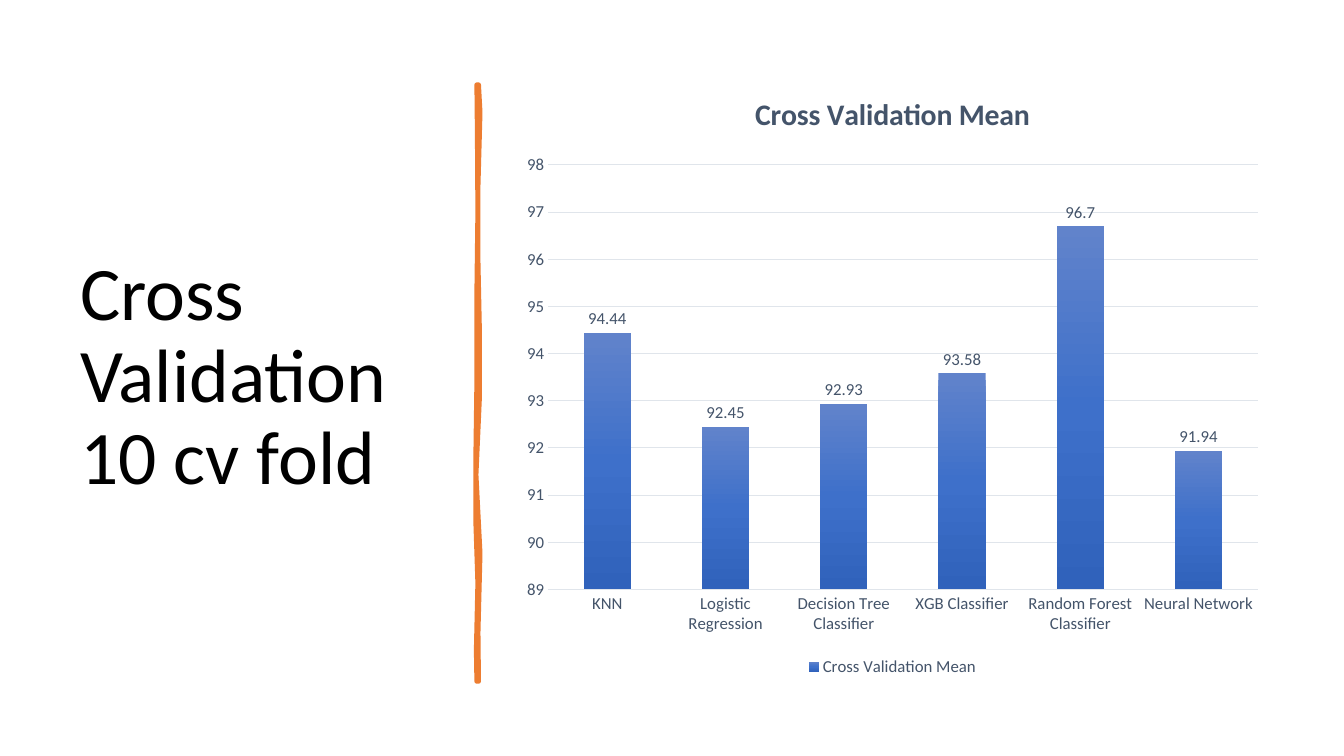
from copy import deepcopy
from typing import NamedTuple

from pptx import Presentation
from pptx.chart.chart import Chart
from pptx.chart.data import CategoryChartData
from pptx.dml.color import RGBColor
from pptx.enum.chart import XL_CHART_TYPE as ChartType
from pptx.enum.chart import XL_LABEL_POSITION as LabelPosition
from pptx.enum.chart import XL_LEGEND_POSITION as LegendPosition
from pptx.enum.chart import XL_TICK_MARK as TickMark
from pptx.enum.text import MSO_ANCHOR as Anchor
from pptx.enum.text import MSO_AUTO_SIZE as AutoSize
from pptx.enum.text import PP_ALIGN as Align
from pptx.oxml.ns import qn
from pptx.slide import Slide
from pptx.text.text import Font
from pptx.util import Pt

PX = 4572  # EMU per px, 200 px to the inch
FONT = "Calibri"
BLACK = RGBColor(0x00, 0x00, 0x00)
SLATE = RGBColor(0x44, 0x54, 0x6A)
PALE = RGBColor(0xE0, 0xE5, 0xEB)
ORANGE = RGBColor(0xED, 0x7D, 0x31)


class Box(NamedTuple):
    left: int
    top: int
    width: int
    height: int

    def emu(self) -> list[int]:
        return [side * PX for side in self]


class Stop(NamedTuple):
    position: float
    color: RGBColor


class Score(NamedTuple):
    model: str
    mean: float


TITLE_BOX = Box(139, 139, 748, 1222)
CHART_BOX = Box(1016, 140, 1510, 1211)
BAR_STOPS = [
    Stop(0, RGBColor(0x61, 0x83, 0xCB)),
    Stop(0.5, RGBColor(0x3E, 0x70, 0xCA)),
    Stop(1, RGBColor(0x30, 0x62, 0xBB)),
]
SCORES = [
    Score("KNN", 94.44),
    Score("Logistic Regression", 92.45),
    Score("Decision Tree Classifier", 92.93),
    Score("XGB Classifier", 93.58),
    Score("Random Forest Classifier", 96.7),
    Score("Neural Network", 91.94),
]
RIGHT_EDGE = [
    (950, 168), (953, 223), (949, 369), (949, 519), (952, 663),
    (952, 786), (945, 942), (953, 1098), (949, 1255), (950, 1352),
]
LEFT_EDGE = [
    (946, 1352), (945, 1290), (948, 1157), (944, 1038), (944, 901),
    (946, 757), (946, 580), (948, 421), (947, 266), (946, 168),
]


def style_font(font: Font, size: float, color: RGBColor = SLATE, bold: bool = False) -> None:
    font.name = FONT
    font.size = Pt(size)
    font.bold = bold
    font.color.rgb = color


def add_title(page: Slide) -> None:
    title = page.shapes.title
    title.left, title.top, title.width, title.height = TITLE_BOX.emu()
    frame = title.text_frame
    frame.text = "Cross Validation 10 cv fold"
    frame.word_wrap = True
    frame.auto_size = AutoSize.NONE
    frame.vertical_anchor = Anchor.MIDDLE
    para = frame.paragraphs[0]
    para.alignment = Align.LEFT
    para.line_spacing = 0.9
    style_font(para.runs[0].font, 54, BLACK)


def add_divider(page: Slide) -> None:
    start, *rest = RIGHT_EDGE + LEFT_EDGE
    builder = page.shapes.build_freeform(*start, scale=PX)
    builder.add_line_segments(rest, close=True)
    divider = builder.convert_to_shape()
    divider.shadow.inherit = False
    divider.fill.solid()
    divider.fill.fore_color.rgb = ORANGE
    divider.line.color.rgb = ORANGE
    divider.line.width = Pt(3.25)


def style_axes(chart: Chart) -> None:
    category_axis, value_axis = chart.category_axis, chart.value_axis
    for axis in (category_axis, value_axis):
        axis.major_tick_mark = axis.minor_tick_mark = TickMark.NONE
        style_font(axis.tick_labels.font, 12)
    value_axis.minimum_scale, value_axis.maximum_scale = 89, 98
    value_axis.major_unit = 1
    value_axis.format.line.fill.background()
    for line in (category_axis.format.line, value_axis.major_gridlines.format.line):
        line.color.rgb = PALE
        line.width = Pt(0.75)


def style_bars(chart: Chart) -> None:
    plot = chart.plots[0]
    plot.gap_width = 150
    plot.vary_by_categories = False
    series = plot.series[0]
    series.invert_if_negative = False
    fill = series.format.fill
    fill.gradient()
    fill.gradient_angle = 270
    stop_list = next(chart.element.iter(qn("a:gsLst")))
    stop_list.insert(1, deepcopy(stop_list[0]))
    for target, stop in zip(fill.gradient_stops, BAR_STOPS):
        target.position = stop.position
        target.color.rgb = stop.color
    labels = series.data_labels
    labels.show_value = True
    labels.position = LabelPosition.OUTSIDE_END
    style_font(labels.font, 12)


def add_score_chart(page: Slide) -> None:
    name = "Cross Validation Mean"
    data = CategoryChartData()
    data.categories = [score.model for score in SCORES]
    data.add_series(name, [score.mean for score in SCORES])
    chart = page.shapes.add_chart(ChartType.COLUMN_CLUSTERED, *CHART_BOX.emu(), data).chart
    style_font(chart.font, 10, BLACK)
    chart.has_title = True
    heading = chart.chart_title
    heading.include_in_layout = False
    para = heading.text_frame.paragraphs[0]
    para.text = name
    style_font(para.runs[0].font, 21.3, bold=True)
    chart.has_legend = True
    chart.legend.position = LegendPosition.BOTTOM
    chart.legend.include_in_layout = False
    style_font(chart.legend.font, 12)
    style_axes(chart)
    style_bars(chart)


def main() -> None:
    deck = Presentation()
    deck.slide_width, deck.slide_height = 2667 * PX, 1500 * PX
    page = deck.slides.add_slide(deck.slide_layouts[5])
    add_title(page)
    add_divider(page)
    add_score_chart(page)
    deck.save("out.pptx")


if __name__ == "__main__":
    main()
